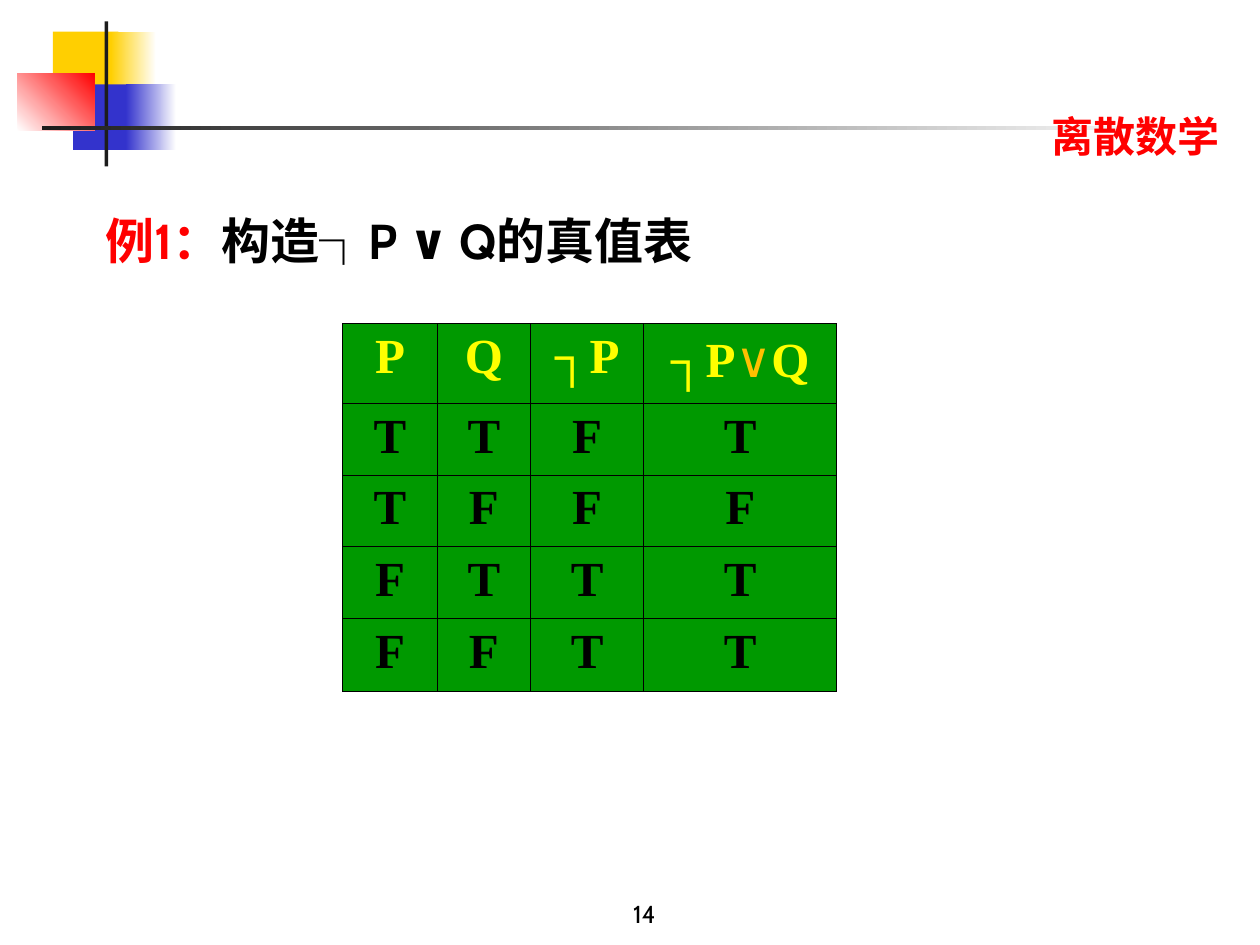
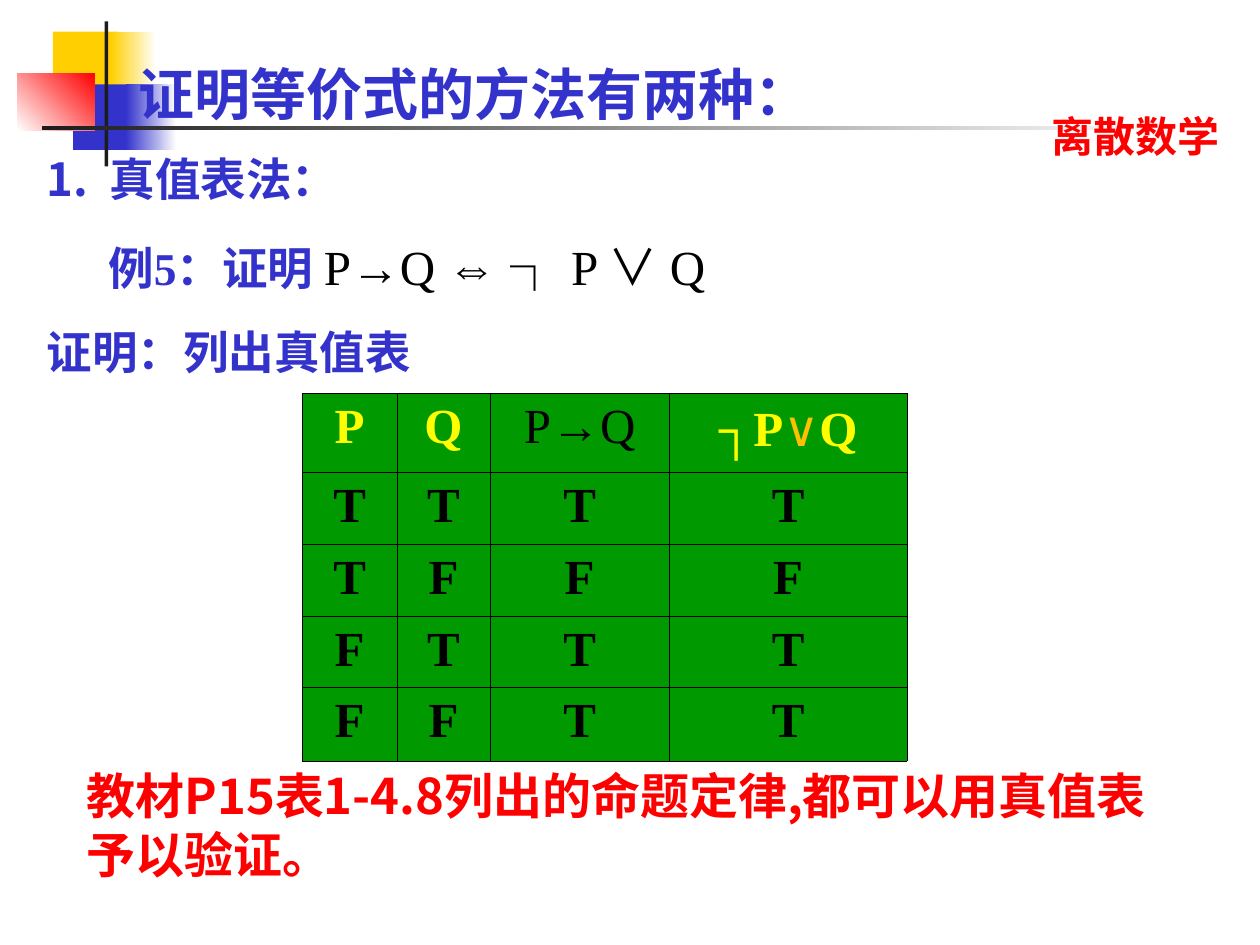
from lxml.etree import SubElement
from pptx import Presentation
from pptx.dml.color import RGBColor as RGB
from pptx.enum.shapes import MSO_SHAPE as SHAPE
from pptx.enum.text import MSO_ANCHOR as ANCHOR, MSO_AUTO_SIZE as AUTO, PP_ALIGN as ALIGN
from pptx.oxml.ns import qn
from pptx.util import Inches, Pt

HUES = {
    "gold": "FFCF01", "blue": "3333CC", "red": "FF0000", "ink": "1C1C1C",
    "white": "FFFFFF", "black": "000000", "green": "009900",
    "yellow": "FFFF00", "amber": "FFC000",
}
CABIN, TIMES, ARIAL, NOTO = "Cabin", "Times New Roman", "Arial", "Noto Sans CJK SC"
EAST = {CABIN: NOTO, TIMES: NOTO, ARIAL: ARIAL, NOTO: NOTO}

# left, top, width, height, colours of the fill, angle
MOTIF = [
    (0.42, 0.25, 0.52, 0.52, ["gold"], 0),
    (0.88, 0.25, 0.36, 0.52, ["gold", "white"], 0),
    (0.58, 0.67, 0.46, 0.52, ["blue"], 0),
    (1, 0.67, 0.4, 0.52, ["blue", "white"], 0),
    (0.14, 0.58, 0.61, 0.46, ["white", "red"], 45),
    (0.83, 0.17, 0.03, 1.15, ["ink"], 0),
    (0.33, 1, 9, 0.03, ["ink", "white"], 0),
]
ROWS = [0.63, 0.57, 0.57, 0.57, 0.58]
SPANS = [(0, 2), (2, 3), (3, 4)]  # inputs, middle step, result


def hue(name):
    return RGB.from_string(HUES[name])


def style(font, face, size, color, bold=True):
    font.name, font.size, font.bold = face, Pt(size), bold
    font.color.rgb = hue(color)


def write(para, *parts, align=ALIGN.LEFT):
    """Fill a paragraph with parts of (text, face, size, colour, bold)."""
    para.alignment = align
    for text, *look in parts:
        run = para.add_run()
        run.text = text
        style(para.font if len(parts) == 1 else run.font, *look)


def place(shape, left, top, width, height, wrap=True, anchor=ANCHOR.TOP):
    """Move a text shape and return its text frame."""
    shape.left, shape.top = Inches(left), Inches(top)
    shape.width, shape.height = Inches(width), Inches(height)
    frame = shape.text_frame
    frame.auto_size, frame.word_wrap = AUTO.NONE, wrap
    frame.vertical_anchor = anchor
    return frame


def add_text(slide, box, *parts, align=ALIGN.LEFT, **opts):
    shape = slide.shapes.add_textbox(0, 0, 0, 0)
    write(place(shape, *box, **opts).paragraphs[0], *parts, align=align)
    return shape


def add_block(slide, box, tones, angle):
    shape = slide.shapes.add_shape(SHAPE.RECTANGLE, *map(Inches, box))
    shape.shadow.inherit = False
    shape.line.fill.background()
    if len(tones) == 1:
        shape.fill.solid()
        shape.fill.fore_color.rgb = hue(tones[0])
    else:
        shape.fill.gradient()
        shape.fill.gradient_angle = angle
        for stop, tone in zip(shape.fill.gradient_stops, tones):
            stop.color.rgb = hue(tone)
    return shape


def set_master(master, slide):
    """Draw the motif and course name, then move them to the master."""
    marks = [add_block(slide, box, tones, angle) for *box, tones, angle in MOTIF]
    marks.append(add_text(slide, (8.25, 0.83, 2.92, 0.5),
                          ("离散数学", CABIN, 24, "red")))
    for mark in marks:
        master.shapes.element.append(mark.element)


def set_list(para, left, hang=0, gap=0, number=False):
    """Indent a list paragraph, with or without its number."""
    props = para._p.get_or_add_pPr()
    props.set("marL", str(Inches(left)))
    props.set("indent", str(-Inches(hang)))
    if number:
        tint = SubElement(SubElement(props, qn("a:buClr")), qn("a:srgbClr"))
        tint.set("val", HUES["blue"])
        SubElement(props, qn("a:buFont")).set("typeface", NOTO)
        SubElement(props, qn("a:buAutoNum")).set("type", "arabicPeriod")
    else:
        SubElement(props, qn("a:buNone"))
    para.space_before = Pt(gap)


def set_edges(cell):
    props = cell._tc.get_or_add_tcPr()
    for side in "LRTB":
        line = SubElement(props, qn(f"a:ln{side}"), w=str(Pt(0.45)))
        SubElement(SubElement(line, qn("a:solidFill")), qn("a:srgbClr"),
                   val=HUES["black"])


def add_grid(slide, left, top, cols, lines):
    size = map(Inches, (left, top, sum(cols), sum(ROWS)))
    table = slide.shapes.add_table(len(ROWS), len(cols), *size).table
    for col, width in zip(table.columns, cols):
        col.width = Inches(width)
    for i, line in enumerate(lines):
        table.rows[i].height = Inches(ROWS[i])
        for j, parts in enumerate(line):
            cell = table.cell(i, j)
            set_edges(cell)
            cell.fill.solid()
            cell.fill.fore_color.rgb = hue("green")
            write(cell.text_frame.paragraphs[0], *parts, align=ALIGN.CENTER)


def add_truth(slide, left, top, cols, heads, rows):
    """Set the tables of a truth table side by side; a head is a list of parts."""
    body = [[[(mark, TIMES, 28, "black")] for mark in row] for row in rows]
    for start, end in SPANS:
        add_grid(slide, left + sum(cols[:start]), top, cols[start:end],
                 [line[start:end] for line in [heads] + body])


def head(text):
    return (text, TIMES, 28, "yellow")


def plain(text, face=TIMES):
    return (text, face, 28, "black", False)


def set_east(part):
    """Give East Asian text its face; table cells keep their Latin one."""
    for latin in list(part.element.iter(qn("a:latin"))):
        face = latin.get("typeface")
        if face in EAST:
            celled = any(latin.iterancestors(qn("a:tc")))
            name = face if celled else EAST[face]
            latin.addnext(latin.makeelement(qn("a:ea"), {"typeface": name}))


EITHER = [head("┐P"), ("∨", CABIN, 28, "amber", False), head("Q")]


def fill_example(slide):
    title = place(slide.shapes.title, 0.74, 1.62, 5.36, 0.57, wrap=False)
    write(title.paragraphs[0], ("例1：", CABIN, 28, "red"),
          ("构造┐P ∨ Q的真值表", CABIN, 28, "black"))
    add_truth(slide, 2.72, 2.57, [0.75, 0.74, 0.9, 1.53],
              [[head("P")], [head("Q")], [head("┐P")], EITHER],
              ["TTFT", "TFFF", "FTTT", "FFTT"])
    add_text(slide, (3.53, 6.92, 3.17, 0.5), ("14", CABIN, 14, "black", False),
             align=ALIGN.CENTER, anchor=ANCHOR.BOTTOM)


def fill_proof(slide):
    title = place(slide.shapes.title, 1, 0.42, 5.75, 1.07)
    write(title.paragraphs[0], ("证明等价式的方法有两种：", TIMES, 32, "blue"))

    frame = place(slide.placeholders[1], 0.27, 1.15, 10, 1.9)
    method, claim, proof = (frame.paragraphs[0], frame.add_paragraph(),
                            frame.add_paragraph())
    set_list(method, 0.5, hang=0.5, number=True)
    write(method, ("真值表法：", TIMES, 26, "blue"))
    set_list(claim, 0.49, gap=17.5)
    write(claim, ("例5：证明 ", TIMES, 26, "blue"), plain("P"), plain("→", ARIAL),
          plain("Q "), plain("⇔ ", ARIAL), plain("┐", NOTO), plain(" P "),
          plain("∨", NOTO), plain(" Q"))
    set_list(proof, 0.5, hang=0.5, gap=16.2)
    write(proof, ("证明：列出真值表", TIMES, 26, "blue"))

    add_text(slide, (0.59, 6.03, 8.75, 1.04),
             ("教材P15表1-4.8列出的命题定律,都可以用真值表予以验证。", NOTO, 28, "red"))
    add_truth(slide, 2.4, 3.12, [0.75, 0.74, 1.42, 1.89],
              [[head("P")], [head("Q")],
               [plain("P"), plain("→", ARIAL), plain("Q")], EITHER],
              ["TTTT", "TFFF", "FTTT", "FFTT"])


def main():
    deck = Presentation()
    deck.slide_width, deck.slide_height = Inches(10), Inches(7.5)
    example = deck.slides.add_slide(deck.slide_layouts[5])
    proof = deck.slides.add_slide(deck.slide_layouts[1])
    set_master(deck.slide_master, example)
    fill_example(example)
    fill_proof(proof)
    for part in (deck.slide_master, example, proof):
        set_east(part)
    deck.save("out.pptx")


if __name__ == "__main__":
    main()
